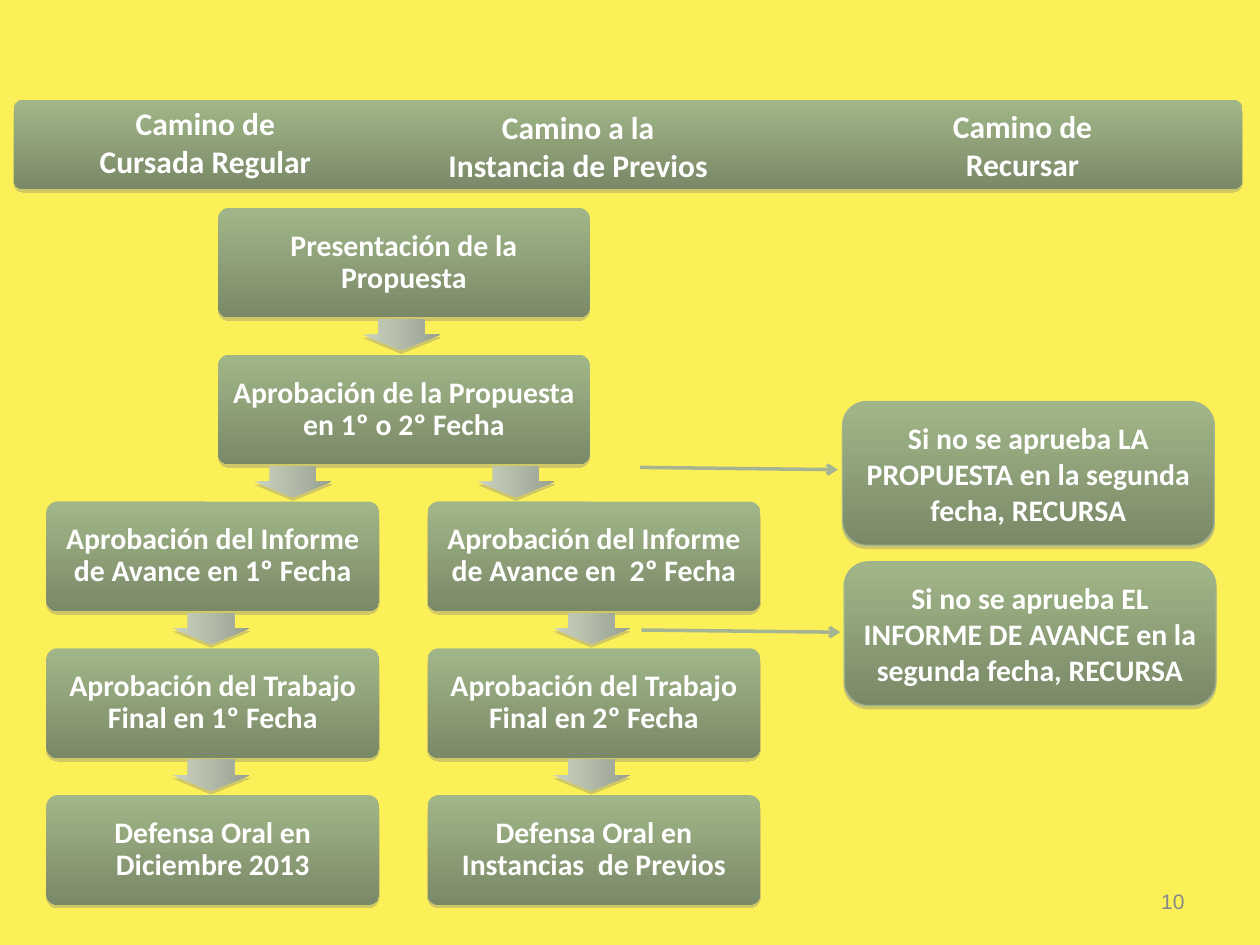
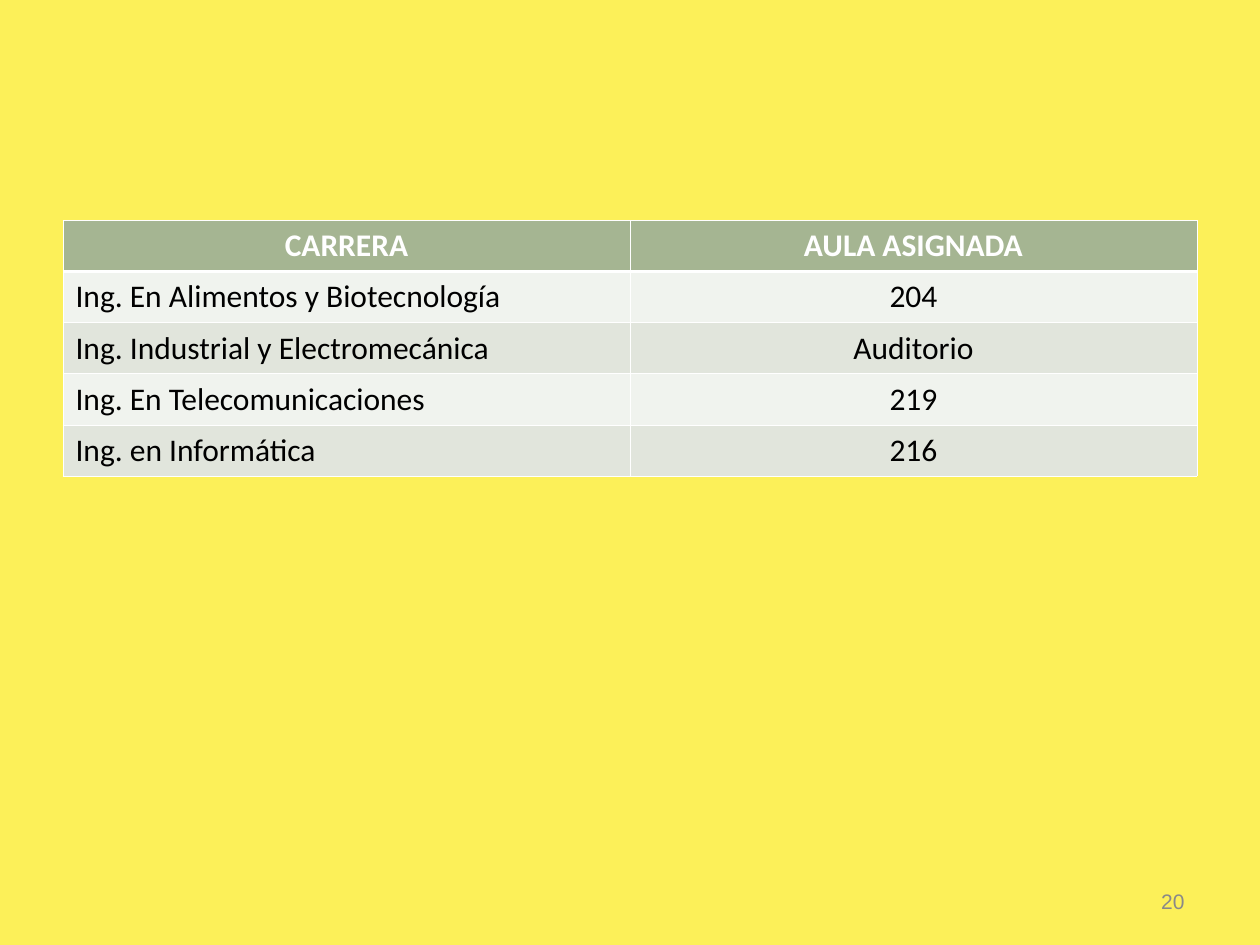
from lxml import etree
from pptx import Presentation
from pptx.dml.color import RGBColor
from pptx.enum.shapes import MSO_CONNECTOR, MSO_SHAPE
from pptx.enum.text import MSO_ANCHOR, MSO_AUTO_SIZE, PP_ALIGN
from pptx.oxml.ns import qn
from pptx.util import Pt

ROUNDED = MSO_SHAPE.ROUNDED_RECTANGLE
DOWN_ARROW = MSO_SHAPE.DOWN_ARROW
STRAIGHT = MSO_CONNECTOR.STRAIGHT
MIDDLE, TOP = MSO_ANCHOR.MIDDLE, MSO_ANCHOR.TOP
LEFT, CENTER, RIGHT = PP_ALIGN.LEFT, PP_ALIGN.CENTER, PP_ALIGN.RIGHT
NO_AUTOFIT = MSO_AUTO_SIZE.NONE

YELLOW, WHITE, BLACK, GRAY = "FCF059", "FFFFFF", "000000", "898989"
SAGE, CALLOUT_EDGE, SHADOW = "A5B592", "A1B28E", "808080"
ROW_FILLS = ("F0F3EE", "E1E5DC")
BOX_GRADIENT = ("A1B688", "7A8967")
ARROW_GRADIENT = ("CAD3BF", "99A091")
VERTICAL, HORIZONTAL = 270, 0

HEADING_FONT = {"name": "Calibri", "size": Pt(18), "bold": True}
BOX_FONT = {"name": "Calibri", "size": Pt(17), "bold": True}
CELL_FONT = {"name": "Calibri", "size": Pt(18), "bold": False}
NUMBER_FONT = {"name": "Arial", "size": Pt(12)}

STEP_TOP, STEP_PITCH, STEP_HEIGHT = 118.8, 83.9, 62.6
ARROW_WIDTH, ARROW_HEIGHT = 43.9, 18
WIDE_COLUMN, REGULAR_COLUMN, PREVIOS_COLUMN = (124.6, 212.4), (26.6, 190.1), (244.4, 190.1)

STEPS = [
    (0, WIDE_COLUMN, "Presentación de la Propuesta"),
    (1, WIDE_COLUMN, "Aprobación de la Propuesta en 1º o 2º Fecha"),
    (2, REGULAR_COLUMN, "Aprobación del Informe de Avance en 1º Fecha"),
    (3, REGULAR_COLUMN, "Aprobación del Trabajo Final en 1º Fecha"),
    (4, REGULAR_COLUMN, "Defensa Oral en Diciembre 2013"),
    (2, PREVIOS_COLUMN, "Aprobación del Informe de Avance en  2º Fecha"),
    (3, PREVIOS_COLUMN, "Aprobación del Trabajo Final en 2º Fecha"),
    (4, PREVIOS_COLUMN, "Defensa Oral en Instancias  de Previos"),
]
STEP_ARROWS = [(0, 229.3), (1, 167.4), (1, 294.8),
               (2, 120.6), (2, 338), (3, 120.6), (3, 338)]
HEADINGS = [
    ((246.2, 58.3, 168.5, 50.4), ("Camino a la", "Instancia de Previos")),
    ((532.1, 57.6, 104.4, 50.4), ("Camino de", "Recursar")),
]
CALLOUTS = [
    ((481.5, 229.5, 212.4, 82.1), (365.8, 267.1, 478.8, 268.4),
     "Si no se aprueba LA PROPUESTA en la segunda fecha, RECURSA"),
    ((482.4, 321.1, 212.4, 82.1), (366.5, 360, 480.2, 361.3),
     "Si no se aprueba EL INFORME DE AVANCE en la segunda fecha, RECURSA"),
]
CLASSROOMS = [
    ("CARRERA", "AULA ASIGNADA"),
    ("Ing. En Alimentos y Biotecnología", "204"),
    ("Ing. Industrial y Electromecánica", "Auditorio"),
    ("Ing. En Telecomunicaciones", "219"),
    ("Ing. en Informática", "216"),
]


def rgb(color):
    return RGBColor.from_string(color)


def points(lengths):
    return [Pt(length) for length in lengths]


def set_format(target, values):
    for name, value in values.items():
        setattr(target, name, value)


def add_xml(parent, tag, **attributes):
    return etree.SubElement(parent, qn(tag), attributes)


def write(frame, lines, font, color=WHITE, align=CENTER, anchor=MIDDLE, spacing=1.0, margin=7.2):
    set_format(frame, {
        "word_wrap": True, "auto_size": NO_AUTOFIT, "vertical_anchor": anchor,
        "margin_left": Pt(margin), "margin_right": Pt(margin),
        "margin_top": Pt(3.6), "margin_bottom": Pt(3.6),
    })
    paragraph = frame.paragraphs[0]
    set_format(paragraph, {"alignment": align, "line_spacing": spacing})
    for index, line in enumerate(lines):
        if index:
            paragraph.add_line_break()
        run = paragraph.add_run()
        run.text = line
        set_format(run.font, font)
        run.font.color.rgb = rgb(color)


def add_gradient_shape(slide, kind, box, adjustments, colors, angle):
    shape = slide.shapes.add_shape(kind, *points(box))
    for index, value in enumerate(adjustments):
        shape.adjustments[index] = value
    shape.fill.gradient()
    shape.fill.gradient_angle = angle
    for stop, color in zip(shape.fill.gradient_stops, colors):
        stop.color.rgb = rgb(color)
    shape.line.fill.background()
    shape.shadow.inherit = False
    effects = shape.element.spPr.find(qn("a:effectLst"))
    shadow = add_xml(effects, "a:outerShdw", dist=str(Pt(1.8)), dir="5400000", rotWithShape="0")
    add_xml(add_xml(shadow, "a:srgbClr", val=SHADOW), "a:alpha", val="35000")
    return shape


def add_box(slide, box, rounding=0.1):
    return add_gradient_shape(slide, ROUNDED, box, [rounding], BOX_GRADIENT, VERTICAL)


def add_text(slide, box, lines, font, **options):
    write(slide.shapes.add_textbox(*points(box)).text_frame, lines, font, **options)


def add_step(slide, row, column, text):
    left, width = column
    shape = add_box(slide, (left, STEP_TOP + row * STEP_PITCH, width, STEP_HEIGHT))
    write(shape.text_frame, [text], BOX_FONT, spacing=0.9, margin=4)


def add_step_arrow(slide, row, center):
    gap = STEP_PITCH - STEP_HEIGHT
    top = STEP_TOP + row * STEP_PITCH + STEP_HEIGHT + (gap - ARROW_HEIGHT) / 2 - 0.8
    box = (center - ARROW_WIDTH / 2, top, ARROW_WIDTH, ARROW_HEIGHT)
    add_gradient_shape(slide, DOWN_ARROW, box, [0.6, 0.5], ARROW_GRADIENT, HORIZONTAL)


def add_callout(slide, box, arrow, text):
    connector = slide.shapes.add_connector(STRAIGHT, *points(arrow))
    connector.line.color.rgb = rgb(SAGE)
    connector.line.width = Pt(2)
    properties = connector.element.spPr
    add_xml(properties.find(qn("a:ln")), "a:tailEnd", type="arrow")
    add_xml(properties, "a:effectLst")
    shape = add_box(slide, box, 0.167)
    shape.line.color.rgb = rgb(CALLOUT_EDGE)
    shape.line.width = Pt(0.75)
    write(shape.text_frame, [text], BOX_FONT)


def add_page_number(slide, number):
    add_text(slide, (516.2, 500.4, 167.8, 28.8), [number], NUMBER_FONT, color=GRAY, align=RIGHT)


def set_borders(cell, widths):
    properties = cell._tc.get_or_add_tcPr()
    for index, (side, width) in enumerate(widths.items()):
        line = etree.Element(qn(f"a:{side}"), {"w": str(Pt(width))})
        add_xml(add_xml(line, "a:solidFill"), "a:srgbClr", val=WHITE)
        properties.insert(index, line)


def add_table(slide, box, rows):
    table = slide.shapes.add_table(len(rows), len(rows[0]), *points(box)).table
    for row_index, row in enumerate(rows):
        is_header = row_index == 0
        for column_index, text in enumerate(row):
            cell = table.cell(row_index, column_index)
            cell.fill.solid()
            fill = SAGE if is_header else ROW_FILLS[(row_index - 1) % 2]
            cell.fill.fore_color.rgb = rgb(fill)
            set_borders(cell, {
                "lnL": 0.45, "lnR": 0.45,
                "lnT": 1.47 if row_index == 1 else 0.45,
                "lnB": 1.47 if is_header else 0.45,
            })
            paragraph = cell.text_frame.paragraphs[0]
            paragraph.alignment = CENTER if is_header or column_index else LEFT
            run = paragraph.add_run()
            run.text = text
            set_format(run.font, HEADING_FONT if is_header else CELL_FONT)
            run.font.color.rgb = rgb(WHITE if is_header else BLACK)


def build_paths_slide(presentation):
    slide = presentation.slides.add_slide(presentation.slide_layouts[5])
    title = slide.shapes.title
    left, top, width, height = points((46.8, 59.8, 141.1, 42.5))
    set_format(title, {"left": left, "top": top, "width": width, "height": height})
    write(title.text_frame, ["Camino de Cursada Regular"], HEADING_FONT)
    banner = add_box(slide, (7.9, 56.9, 702, 51.1))
    title.element.addprevious(banner.element)
    add_page_number(slide, "10")
    for callout in CALLOUTS:
        add_callout(slide, *callout)
    for box, lines in HEADINGS:
        add_text(slide, box, lines, HEADING_FONT, anchor=TOP)
    for step in STEPS:
        add_step(slide, *step)
    for arrow in STEP_ARROWS:
        add_step_arrow(slide, *arrow)


def build_classrooms_slide(presentation):
    slide = presentation.slides.add_slide(presentation.slide_layouts[6])
    add_table(slide, (36, 126, 648, 146), CLASSROOMS)
    add_page_number(slide, "20")


def main():
    presentation = Presentation()
    set_format(presentation, {"slide_width": Pt(720), "slide_height": Pt(540)})
    background = presentation.slide_master.background.fill
    background.solid()
    background.fore_color.rgb = rgb(YELLOW)
    build_paths_slide(presentation)
    build_classrooms_slide(presentation)
    presentation.save("out.pptx")


if __name__ == "__main__":
    main()
